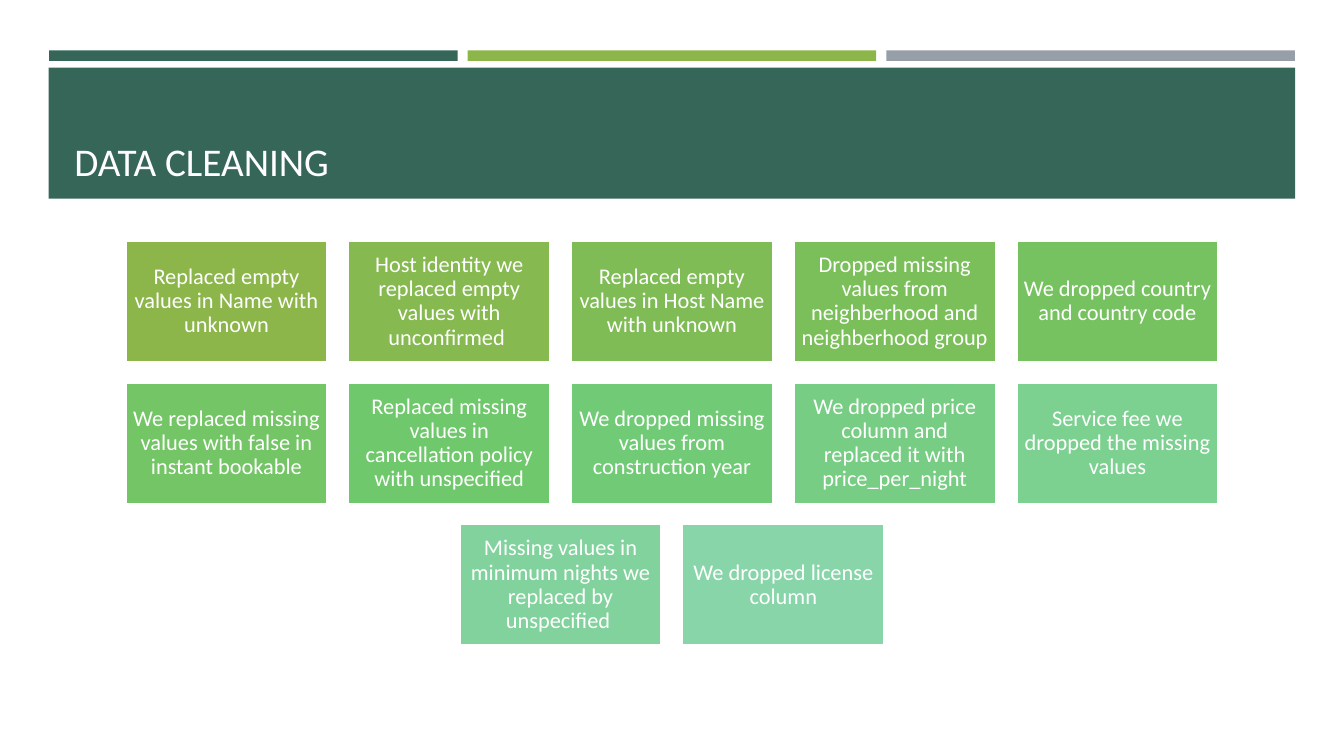
from pptx import Presentation
from pptx import util as u
from pptx.dml import color
from pptx.enum import shapes, text

SLIDE_WIDTH, SLIDE_HEIGHT = 960, 540
FONT = "Calibri"
WHITE = "FFFFFF"
GREEN = "366658"

ACCENT_BARS = [GREEN, "8CB64A", "969FA7"]
BAR_LEFT, BAR_TOP, BAR_WIDTH, BAR_HEIGHT, BAR_STEP = 35.1, 36, 291.8, 7.5, 299

CARDS_PER_ROW = 5
CARD_WIDTH, CARD_HEIGHT = 144.5, 86.8
COLUMN_STEP, ROW_STEP, CARDS_TOP = 159.1, 101.2, 172
CARDS = [
    ("Replaced empty values in Name with unknown", "8CB64A"),
    ("Host identity we replaced empty values with unconfirmed ", "86B94F"),
    ("Replaced empty values in Host Name with unknown", "80BC55"),
    ("Dropped missing values from neighberhood and neighberhood group", "7BBF5A"),
    ("We dropped country and country code", "77C260"),
    ("We replaced missing values with false in instant bookable", "73C566"),
    ("Replaced missing values in cancellation policy with unspecified", "6FC86B"),
    ("We dropped missing values from construction year", "71CA75"),
    ("We dropped price column and replaced it with price_per_night", "77CD83"),
    ("Service fee we dropped the missing values", "7CD090"),
    ("Missing values in minimum nights we replaced by unspecified ", "82D29D"),
    ("We dropped license column", "88D5A9"),
]


def rgb(value):
    return color.RGBColor.from_string(value)


def add_rectangle(slide, left, top, width, height, fill):
    shape = slide.shapes.add_shape(
        shapes.MSO_SHAPE.RECTANGLE, u.Pt(left), u.Pt(top), u.Pt(width), u.Pt(height))
    shape.shadow.inherit = False
    shape.fill.solid()
    shape.fill.fore_color.rgb = rgb(fill)
    shape.line.fill.background()
    return shape


def format_text(shape, size, font_color, alignment, anchor):
    frame = shape.text_frame
    frame.word_wrap = True
    frame.auto_size = text.MSO_AUTO_SIZE.NONE
    frame.vertical_anchor = anchor
    paragraph = frame.paragraphs[0]
    paragraph.alignment = alignment
    paragraph.line_spacing = 0.9
    font = paragraph.runs[0].font
    font.name = FONT
    font.size = u.Pt(size)
    font.color.rgb = rgb(font_color)


def add_title(slide, wording):
    title = slide.shapes.title
    title.left, title.top = u.Pt(46), u.Pt(55.4)
    title.width, title.height = u.Pt(868), u.Pt(80)
    title.text_frame.text = wording
    format_text(title, 28, "FFFEFF", text.PP_ALIGN.LEFT, text.MSO_ANCHOR.BOTTOM)
    title.element.getparent().append(title.element)


def add_card(slide, left, top, wording, fill):
    card = add_rectangle(slide, left, top, CARD_WIDTH, CARD_HEIGHT, fill)
    card.line.color.rgb = rgb(WHITE)
    card.line.width = u.Pt(1.75)
    frame = card.text_frame
    frame.margin_left = frame.margin_right = u.Pt(4.8)
    frame.margin_top = frame.margin_bottom = u.Pt(4.8)
    frame.text = wording
    format_text(card, 16, WHITE, text.PP_ALIGN.CENTER, text.MSO_ANCHOR.MIDDLE)


def add_cards(slide):
    for row, start in enumerate(range(0, len(CARDS), CARDS_PER_ROW)):
        row_cards = CARDS[start:start + CARDS_PER_ROW]
        row_width = (len(row_cards) - 1) * COLUMN_STEP + CARD_WIDTH
        row_left = (SLIDE_WIDTH - row_width) / 2
        for column, (wording, fill) in enumerate(row_cards):
            add_card(slide, row_left + column * COLUMN_STEP,
                     CARDS_TOP + row * ROW_STEP, wording, fill)


def main():
    presentation = Presentation()
    presentation.slide_width = u.Pt(SLIDE_WIDTH)
    presentation.slide_height = u.Pt(SLIDE_HEIGHT)
    slide = presentation.slides.add_slide(presentation.slide_layouts[5])
    for index, fill in enumerate(ACCENT_BARS):
        add_rectangle(slide, BAR_LEFT + index * BAR_STEP, BAR_TOP, BAR_WIDTH, BAR_HEIGHT, fill)
    add_rectangle(slide, 34.8, 48.4, 890.4, 93.6, GREEN)
    add_title(slide, "DATA CLEANING")
    add_cards(slide)
    presentation.save("out.pptx")


if __name__ == "__main__":
    main()
